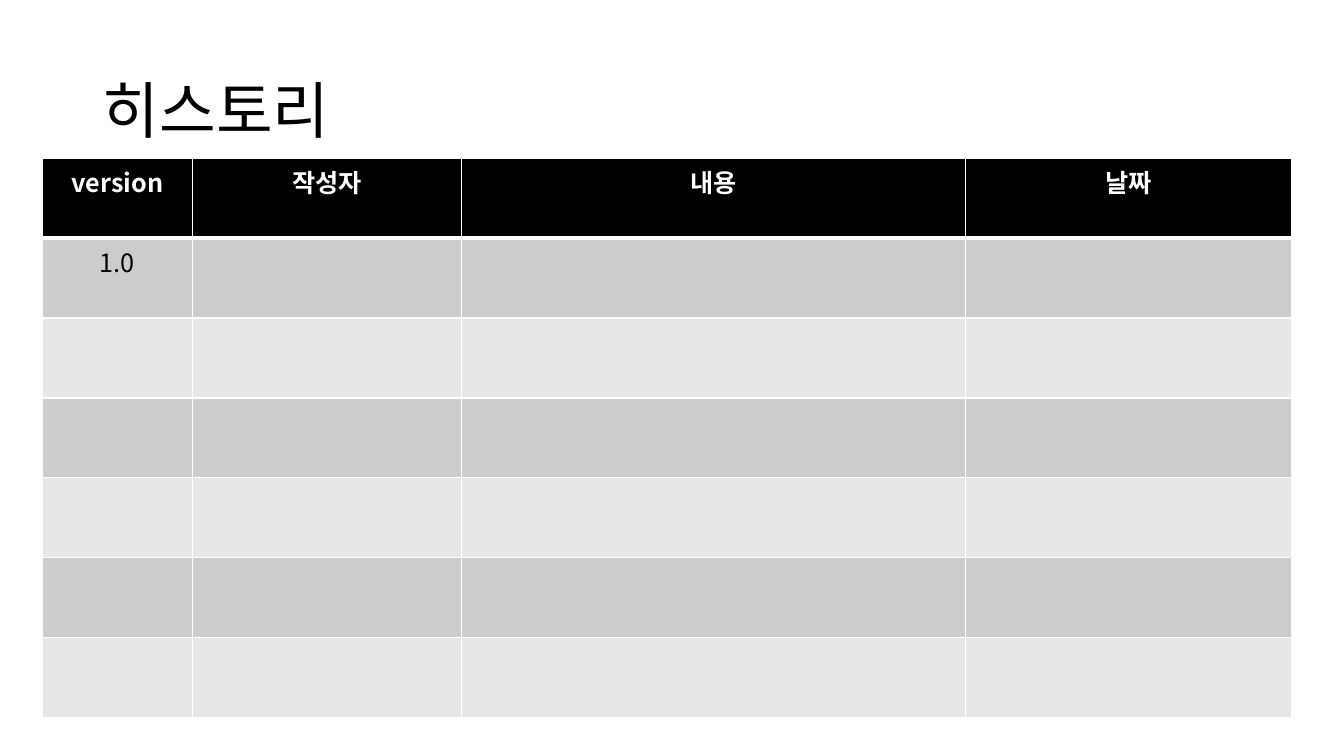
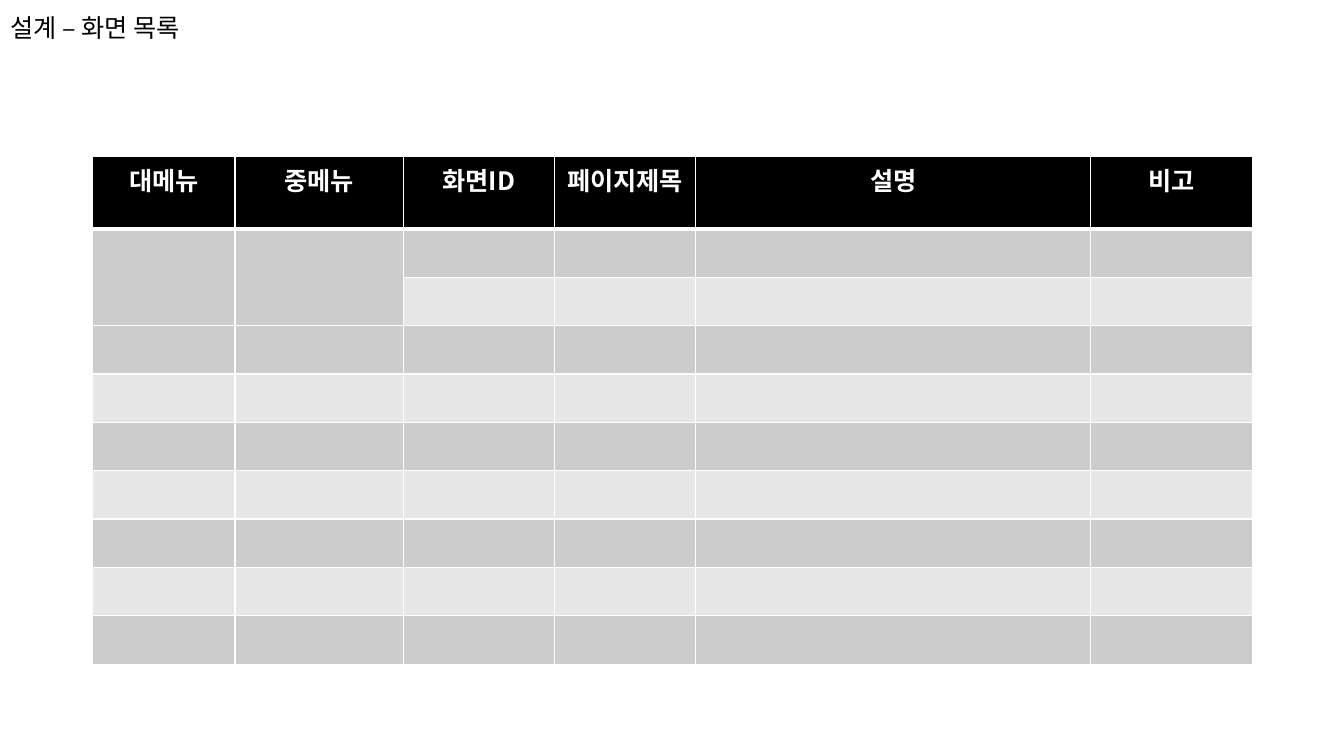
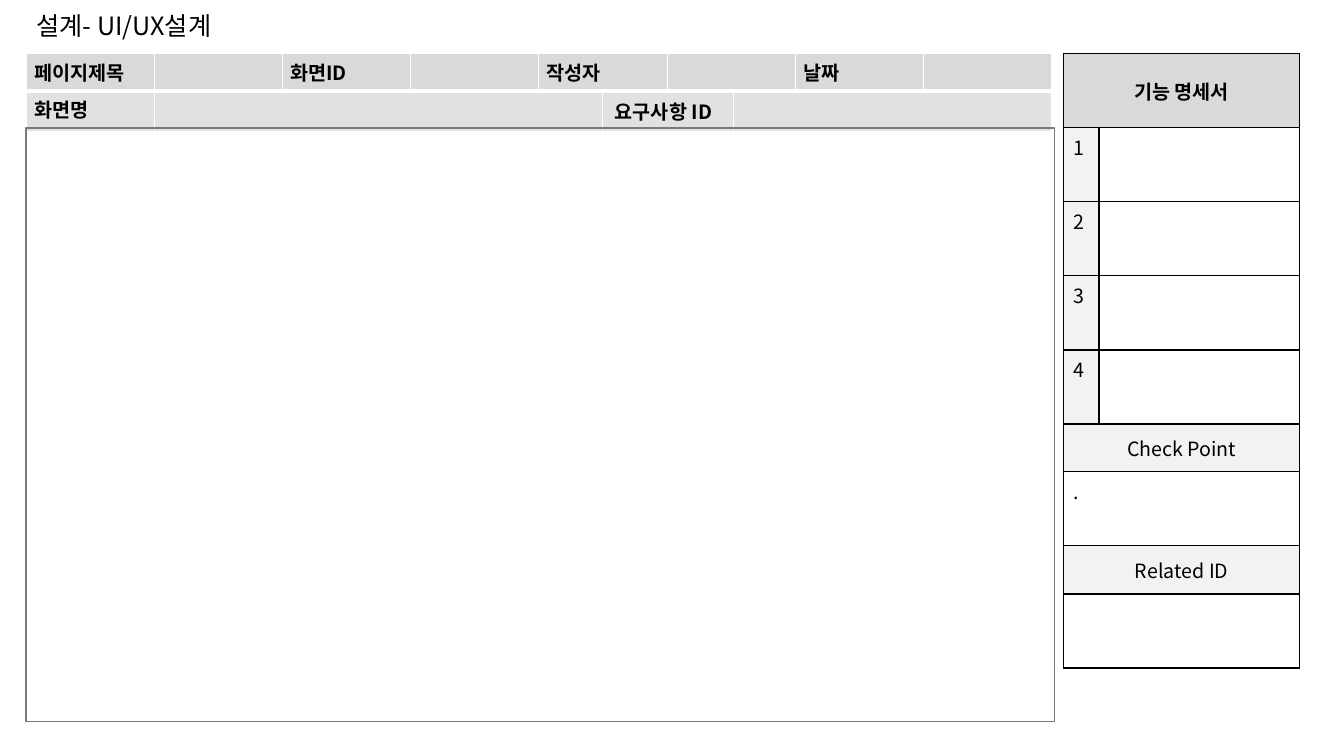
from pptx import Presentation
from pptx.dml.color import RGBColor
from pptx.enum.shapes import MSO_SHAPE
from pptx.enum.text import MSO_ANCHOR, MSO_AUTO_SIZE, PP_ALIGN
from pptx.oxml.ns import qn
from pptx.util import Pt
from lxml.etree import SubElement

EMU_PER_PX = 9144  # 100 px to the inch
FONT = "Noto Sans CJK KR"
COLORS = {
    "black": "000000",
    "white": "FFFFFF",
    "band_dark": "CCCCCC",
    "band_light": "E7E7E7",
    "label": "D9D9D9",
    "label_second": "E1E1E1",
    "section": "F2F2F2",
    "frame": "7A7A7A",
}


def px(length):
    return round(length * EMU_PER_PX)


def rgb(name):
    return RGBColor.from_string(COLORS[name])


def write(paragraph, text, size=18, color="black", bold=False, align=PP_ALIGN.LEFT, spacing=None):
    """Put formatted text in a paragraph; without text only its size is kept."""
    paragraph.alignment = align
    if spacing:
        paragraph.line_spacing = spacing
    if not text:
        paragraph._p.get_or_add_endParaRPr().set("sz", str(size * 100))
        return
    run = paragraph.add_run()
    run.text = text
    run.font.size = Pt(size)
    run.font.bold = bold
    run.font.name = FONT
    run.font.color.rgb = rgb(color)
    SubElement(run._r.get_or_add_rPr(), qn("a:ea"), typeface=FONT)


class Deck:
    """Holds the presentation, its shared style and the current slide."""

    def __init__(self, width, height):
        self.presentation = Presentation()
        self.presentation.slide_width = px(width)
        self.presentation.slide_height = px(height)
        self.slide = None

    def add_slide(self, title, left, top, width, height, size=18):
        self.slide = self.presentation.slides.add_slide(self.presentation.slide_layouts[5])
        shape = self.slide.shapes.title
        shape.left, shape.top, shape.width, shape.height = map(px, (left, top, width, height))
        frame = shape.text_frame
        frame.auto_size = MSO_AUTO_SIZE.NONE
        frame.word_wrap = True
        frame.vertical_anchor = MSO_ANCHOR.MIDDLE
        write(frame.paragraphs[0], title, size=size, spacing=0.9)

    def frame(self, left, top, width, height):
        shape = self.slide.shapes.add_shape(MSO_SHAPE.RECTANGLE, *map(px, (left, top, width, height)))
        shape.shadow.inherit = False
        shape.fill.background()
        shape.line.color.rgb = rgb("frame")
        shape.line.width = Pt(1)

    def table(self, left, top, columns, rows, texts, style, merges=(), border="white", header_rule=3):
        """texts maps (row, column) to text; style gives the format of a cell."""
        graphic = self.slide.shapes.add_table(
            len(rows), len(columns), *map(px, (left, top, sum(columns), sum(rows))))
        table = graphic.table
        table.first_row = table.horz_banding = False
        for column, width in zip(table.columns, columns):
            column.width = px(width)
        for row, height in zip(table.rows, rows):
            row.height = px(height)
        for first, last in merges:
            table.cell(*first).merge(table.cell(*last))
        for row in range(len(rows)):
            rules = {
                "lnL": 1, "lnR": 1,
                "lnT": header_rule if row == 1 else 1,
                "lnB": header_rule if row == 0 else 1,
            }
            for column in range(len(columns)):
                self.cell(table.cell(row, column), texts.get((row, column)),
                          rules, border, **style(row, column))

    def cell(self, cell, text, rules, border, fill, anchor=MSO_ANCHOR.TOP, inset=(10, 5), **text_format):
        cell.margin_left = cell.margin_right = px(inset[0])
        cell.margin_top = cell.margin_bottom = px(inset[1])
        cell.vertical_anchor = anchor
        properties = cell._tc.get_or_add_tcPr()
        for side, width in rules.items():
            line = SubElement(properties, qn(f"a:{side}"), w=str(Pt(width)))
            SubElement(SubElement(line, qn("a:solidFill")), qn("a:srgbClr"), val=COLORS[border])
        cell.fill.solid()
        cell.fill.fore_color.rgb = rgb(fill)
        write(cell.text_frame.paragraphs[0], text, **text_format)


def banded(row, column):
    if row == 0:
        return dict(fill="black", color="white", bold=True, align=PP_ALIGN.CENTER)
    return dict(fill="band_dark" if row % 2 else "band_light", align=PP_ALIGN.CENTER)


def page_label(row, column):
    return dict(fill="label_second" if row else "label", size=14, bold=True,
                inset=(12, 6) if (row, column) == (1, 5) else (8, 4))


def specification(row, column):
    if row in (0, 5, 7):
        return dict(fill="section" if row else "label", size=14, bold=row == 0,
                    align=PP_ALIGN.CENTER, anchor=MSO_ANCHOR.MIDDLE)
    return dict(fill="section" if row < 5 and column == 0 else "white", size=14)


def header(*titles):
    return {(0, column): title for column, title in enumerate(titles)}


def main():
    deck = Deck(1333, 750)

    # Version history
    deck.add_slide("히스토리", 92, 40, 1150, 145, size=44)
    deck.table(42, 157, [149, 267, 500, 323], [555 / 7] * 7,
               header("version", "작성자", "내용", "날짜") | {(1, 0): "1.0"}, banded)

    # Screen list
    deck.add_slide("설계 – 화면 목록", 0, 0, 395, 59)
    deck.table(92, 155, [141, 167, 150, 140, 392, 160], [72] + [48] * 9,
               header("대메뉴", "중메뉴", "화면ID", "페이지제목", "설명", "비고"), banded,
               merges=[((1, column), (2, column)) for column in (0, 1)])

    # Screen design: page labels and drawing area
    deck.add_slide("설계- UI/UX설계", 26, -2, 395, 59)
    deck.table(26, 53, [127] * 4 + [64, 64, 66, 61] + [127] * 2, [37, 38],
               {(0, 0): "페이지제목", (0, 2): "화면ID", (0, 4): "작성자", (0, 8): "날짜",
                (1, 0): "화면명", (1, 5): "요구사항 ID"},
               page_label,
               merges=[((0, 4), (0, 5)), ((0, 6), (0, 7)),
                       ((1, 1), (1, 4)), ((1, 5), (1, 6)), ((1, 7), (1, 9))])
    deck.frame(26, 127, 1020, 589)

    # Screen design: function specification
    check_height, related_height = 47, 48
    item_height = (610 - check_height - related_height) / 7
    numbers = {(row, 0): str(row) for row in range(1, 5)}
    deck.table(1055, 53, [35, 199],
               [item_height] * 5 + [check_height, item_height, related_height, item_height],
               numbers | {(0, 0): "기능 명세서", (5, 0): "Check Point", (6, 0): ".", (7, 0): "Related ID"},
               specification, border="black", header_rule=1,
               merges=[((row, 0), (row, 1)) for row in (0, 5, 6, 7, 8)])

    deck.presentation.save("out.pptx")


if __name__ == "__main__":
    main()
